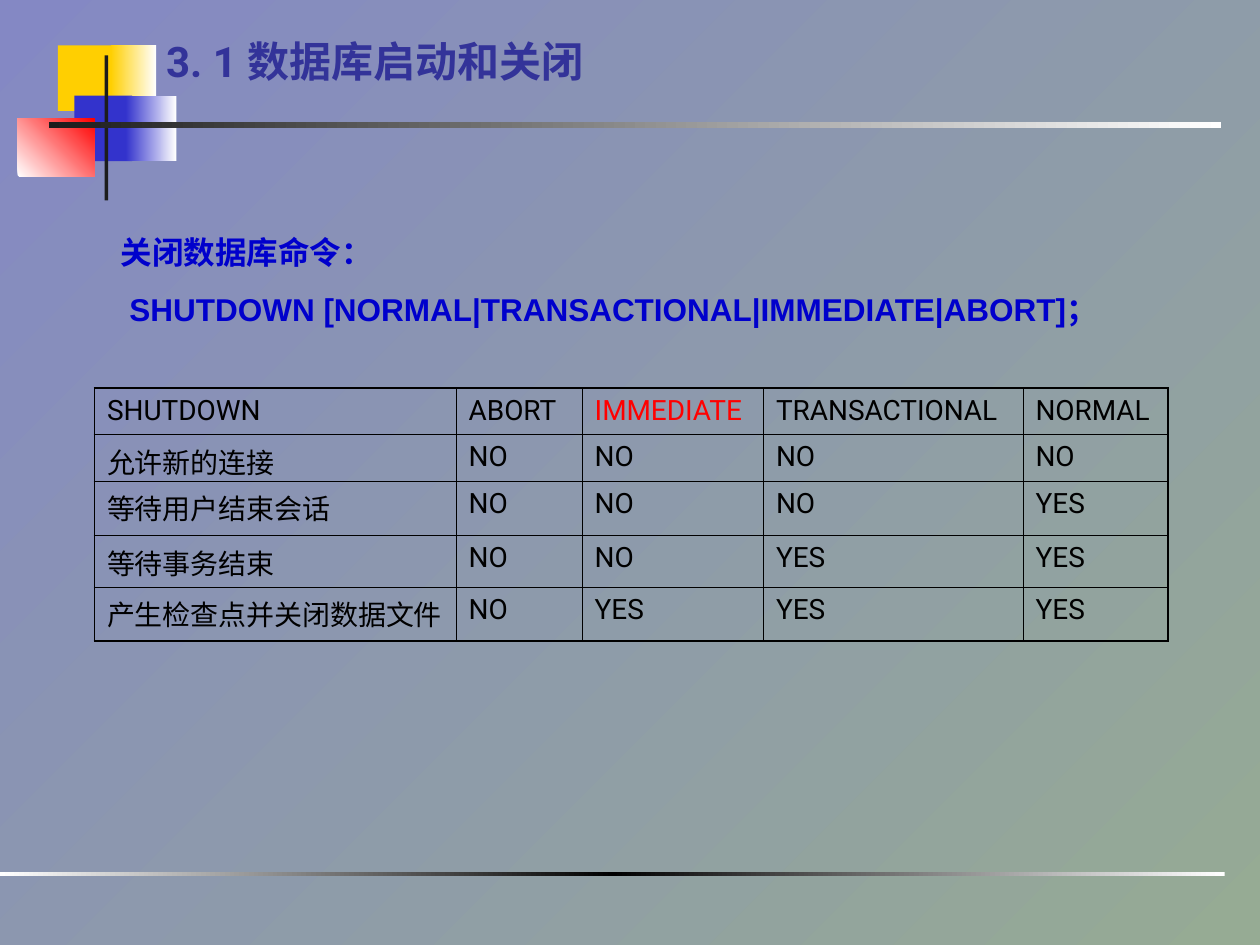
from dataclasses import dataclass

from lxml import etree
from pptx import Presentation
from pptx.dml.color import RGBColor
from pptx.enum.shapes import MSO_SHAPE
from pptx.enum.text import MSO_ANCHOR, MSO_AUTO_SIZE
from pptx.oxml.ns import qn
from pptx.util import Inches, Pt

RECT = MSO_SHAPE.RECTANGLE
TOP = MSO_ANCHOR.TOP
GROW = MSO_AUTO_SIZE.SHAPE_TO_FIT_TEXT


@dataclass(frozen=True)
class Theme:
    ground: tuple = ("8488C4", "96AB94")
    gold: str = "FFCF01"
    blue: str = "3333CC"
    red: str = "FF0000"
    dark: str = "1C1C1C"
    white: str = "FFFFFF"
    black: str = "000000"
    title: str = "333399"
    command: str = "0000CC"
    sans: str = "Roboto"
    latin: str = "Arial"
    title_size: int = 24
    body_size: int = 18
    cell_size: int = 16
    thin: float = 0.45
    thick: float = 1.08


THEME = Theme()
HEAD = ["SHUTDOWN", "ABORT", "IMMEDIATE", "TRANSACTIONAL", "NORMAL"]
ROWS = [
    HEAD,
    ["允许新的连接", "NO", "NO", "NO", "NO"],
    ["等待用户结束会话", "NO", "NO", "NO", "YES"],
    ["等待事务结束", "NO", "NO", "YES", "YES"],
    ["产生检查点并关闭数据文件", "NO", "YES", "YES", "YES"],
]
WIDTHS = [2.87, 1, 1.44, 2.06, 1.15]
HEIGHTS = [0.37, 0.37, 0.43, 0.41, 0.43]


def blend(fill, root, colors, angle=0):
    """Fill with evenly spaced gradient stops; angle runs anticlockwise."""
    fill.gradient()
    fill.gradient_angle = angle
    stops = next(root.iter(qn("a:gsLst")))
    for stop in list(stops):
        stops.remove(stop)
    for i, color in enumerate(colors):
        place = round(100000 * i / (len(colors) - 1))
        stop = etree.SubElement(stops, qn("a:gs"), pos=str(place))
        etree.SubElement(stop, qn("a:srgbClr"), val=color)


def block(slide, box, *colors, angle=0):
    shape = slide.shapes.add_shape(RECT, *map(Inches, box))
    shape.shadow.inherit = False
    shape.line.fill.background()
    if len(colors) == 1:
        shape.fill.solid()
        shape.fill.fore_color.rgb = RGBColor.from_string(colors[0])
    else:
        blend(shape.fill, shape.element, colors, angle)


def style(para, name, size, color, bold=False):
    font = para.font
    font.name, font.size, font.bold = name, Pt(size), bold
    font.color.rgb = RGBColor.from_string(color)


def emblem(slide, box):
    """Three overlapping colour blocks with a crossing bar and rule."""
    x, y, w, h = box
    tall = 0.52
    block(slide, (x + 0.32, y, 0.48, tall), THEME.gold)
    block(slide, (x + 0.74, y, 0.36, tall), THEME.gold, THEME.white)
    block(slide, (x + 0.45, y + 0.4, 0.46, tall), THEME.blue)
    block(slide, (x + 0.86, y + 0.4, 0.4, tall), THEME.blue, THEME.white)
    block(slide, (x, y + 0.58, 0.61, 0.46), THEME.white, THEME.red, angle=45)
    block(slide, (x + 0.69, y + 0.08, 0.03, h - 0.08), THEME.dark)
    block(slide, (x + 0.25, y + 0.61, w - 0.25, 0.05), THEME.dark, THEME.white)


def footer(slide, box):
    block(slide, box, THEME.white, THEME.black, THEME.white)


def text_box(slide, box):
    frame = slide.shapes.add_textbox(*map(Inches, box)).text_frame
    frame.word_wrap = True
    frame.vertical_anchor = TOP
    return frame


def title(slide, box):
    para = text_box(slide, box).paragraphs[0]
    para.text = "3. 1 数据库启动和关闭"
    style(para, THEME.sans, THEME.title_size, THEME.title, True)


def command(slide, box):
    frame = text_box(slide, box)
    frame.auto_size = GROW
    frame.text = (
        "关闭数据库命令：\n"
        " SHUTDOWN [NORMAL|TRANSACTIONAL|IMMEDIATE|ABORT]；"
    )
    for para in frame.paragraphs:
        style(para, THEME.latin, THEME.body_size, THEME.command, True)
    frame.paragraphs[1].space_before = Pt(11.2)


def border(cell, outer):
    """Draw all four edges, thicker on the sides named in outer."""
    props = cell._tc.get_or_add_tcPr()
    for side in "LRTB":
        width = THEME.thick if side in outer else THEME.thin
        line = etree.SubElement(props, qn(f"a:ln{side}"), w=str(Pt(width)))
        fill = etree.SubElement(line, qn("a:solidFill"))
        etree.SubElement(fill, qn("a:srgbClr"), val=THEME.black)


def modes(slide, box):
    """Table comparing the shutdown modes."""
    frame = slide.shapes.add_table(len(ROWS), len(HEAD), *map(Inches, box))
    table = frame.table
    table.first_row = table.horz_banding = False
    for col, width in zip(table.columns, WIDTHS):
        col.width = Inches(width)
    for row, height in zip(table.rows, HEIGHTS):
        row.height = Inches(height)
    for r, texts in enumerate(ROWS):
        for c, text in enumerate(texts):
            cell = table.cell(r, c)
            cell.text = text
            color = THEME.red if text == "IMMEDIATE" else THEME.black
            style(cell.text_frame.paragraphs[0], THEME.sans,
                  THEME.cell_size, color)
            edges = {"L": c == 0, "R": c == len(HEAD) - 1,
                     "T": r == 0, "B": r == len(ROWS) - 1}
            border(cell, [side for side, on in edges.items() if on])
            cell.fill.background()


def main():
    deck = Presentation()
    deck.slide_width, deck.slide_height = Inches(10), Inches(7.5)
    slide = deck.slides.add_slide(deck.slide_layouts[6])
    blend(slide.background.fill, slide.element, THEME.ground, angle=315)
    emblem(slide, (0.14, 0.36, 9.55, 1.23))
    footer(slide, (0, 6.92, 9.72, 0.03))
    title(slide, (1.22, 0.23, 4.17, 0.79))
    modes(slide, (0.75, 3.08, sum(WIDTHS), sum(HEIGHTS)))
    command(slide, (0.86, 1.8, 7.99, 1.16))
    deck.save("out.pptx")


if __name__ == "__main__":
    main()
